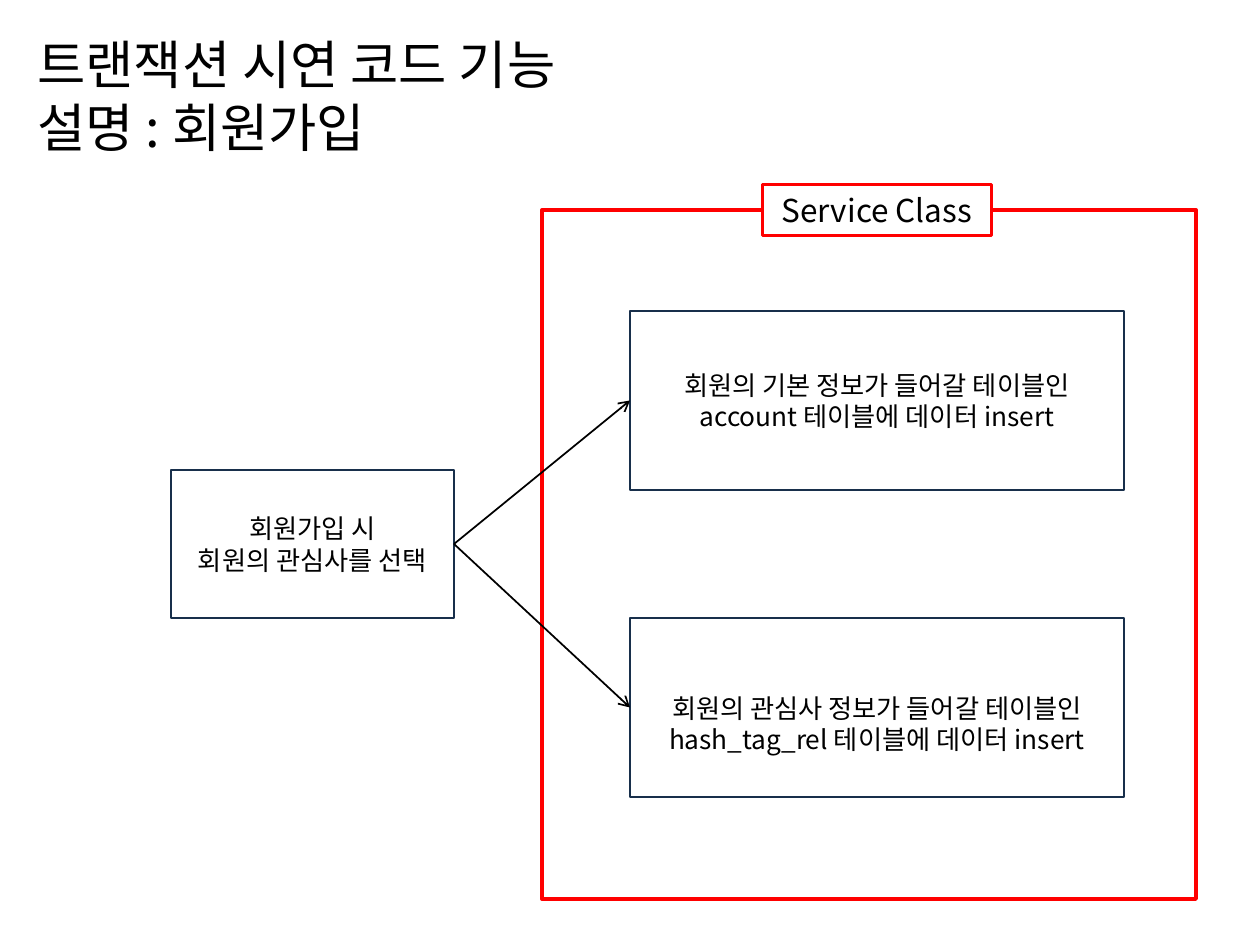
from lxml import etree
from pptx import Presentation
from pptx import util as u
from pptx.dml.color import RGBColor
from pptx.enum import shapes, text
from pptx.oxml.ns import qn

# Content: lengths in px, 126 px to the inch
TITLE = "트랜잭션 시연 코드 기능 설명 : 회원가입"
SIGN_UP = "회원가입 시\n회원의 관심사를 선택"
SERVICE = "Service Class"
INSERTS = [  # text, top of the box, extra space above the text
    ("회원의 기본 정보가 들어갈 테이블인 account 테이블에 데이터 insert", 311, 0),
    ("회원의 관심사 정보가 들어갈 테이블인\nhash_tag_rel 테이블에 데이터 insert", 618, 32),
]
TITLE_AREA = (25, 26, 705, 138)
SIGN_UP_AREA = (171, 470, 283, 148)
SERVICE_AREA = (542, 210, 654, 689)
LABEL_W, LABEL_H = 229, 51
INSERT_LEFT, INSERT_W, INSERT_H = 630, 494, 179

FONT = "Noto Sans CJK KR"
BLACK = RGBColor(0x00, 0x00, 0x00)
WHITE = RGBColor(0xFF, 0xFF, 0xFF)
RED = RGBColor(0xFF, 0x00, 0x00)
NAVY = RGBColor(0x18, 0x2F, 0x4B)


def px(n):
    return u.Emu(round(n * 914400 / 126))


def write(frame, words, size, align):
    frame.word_wrap = True
    frame.text = words
    for paragraph in frame.paragraphs:
        paragraph.alignment = align
        paragraph.line_spacing = u.Pt(size * 1.2)
        for run in paragraph.runs:
            run.font.size = u.Pt(size)
            run.font.name = FONT
            run.font.color.rgb = BLACK
            east_asian = etree.SubElement(run.font._element, qn("a:ea"))
            east_asian.set("typeface", FONT)


def add_box(area, color, weight, words="", size=15, fill=None, extra_top=0):
    box = slide.shapes.add_shape(shapes.MSO_SHAPE.RECTANGLE, *map(px, area))
    box.shadow.inherit = False
    box.line.color.rgb = color
    box.line.width = u.Pt(weight)
    if fill is None:
        box.fill.background()
    else:
        box.fill.solid()
        box.fill.fore_color.rgb = fill
    if words:
        frame = box.text_frame
        frame.vertical_anchor = text.MSO_ANCHOR.MIDDLE
        frame.margin_top = px(6 + extra_top)
        write(frame, words, size, text.PP_ALIGN.CENTER)
    return box


def add_arrow(source, target):
    arrow = slide.shapes.add_connector(shapes.MSO_CONNECTOR.STRAIGHT, 0, 0, 0, 0)
    arrow.begin_connect(source, 3)  # right side
    arrow.end_connect(target, 1)  # left side
    arrow.line.color.rgb = BLACK
    arrow.line.width = u.Pt(1)
    etree.SubElement(arrow.line._get_or_add_ln(), qn("a:tailEnd")).set("type", "arrow")
    etree.SubElement(arrow._element.spPr, qn("a:effectLst"))


prs = Presentation()
prs.slide_width, prs.slide_height = u.Inches(10), u.Inches(7.5)
slide = prs.slides.add_slide(prs.slide_layouts[6])

# Title, wrapped short of the frame's right edge
title = slide.shapes.add_textbox(*map(px, TITLE_AREA))
title.text_frame.margin_right = px(75)
write(title.text_frame, TITLE, 30, text.PP_ALIGN.LEFT)

# Service frame and the two inserts inside it
add_box(SERVICE_AREA, RED, 2.25)
inserts = [
    add_box((INSERT_LEFT, top, INSERT_W, INSERT_H), NAVY, 1.5, words, extra_top=extra)
    for words, top, extra in INSERTS
]

# Sign-up step leading to both inserts
sign_up = add_box(SIGN_UP_AREA, NAVY, 1.5, SIGN_UP)
for insert in inserts:
    add_arrow(sign_up, insert)

# Label centred on the top edge of the service frame
left, top, width, _ = SERVICE_AREA
label_area = (left + (width - LABEL_W) / 2 + 8, top - LABEL_H / 2, LABEL_W, LABEL_H)
add_box(label_area, RED, 1.5, SERVICE, 18, WHITE)

prs.save("out.pptx")
